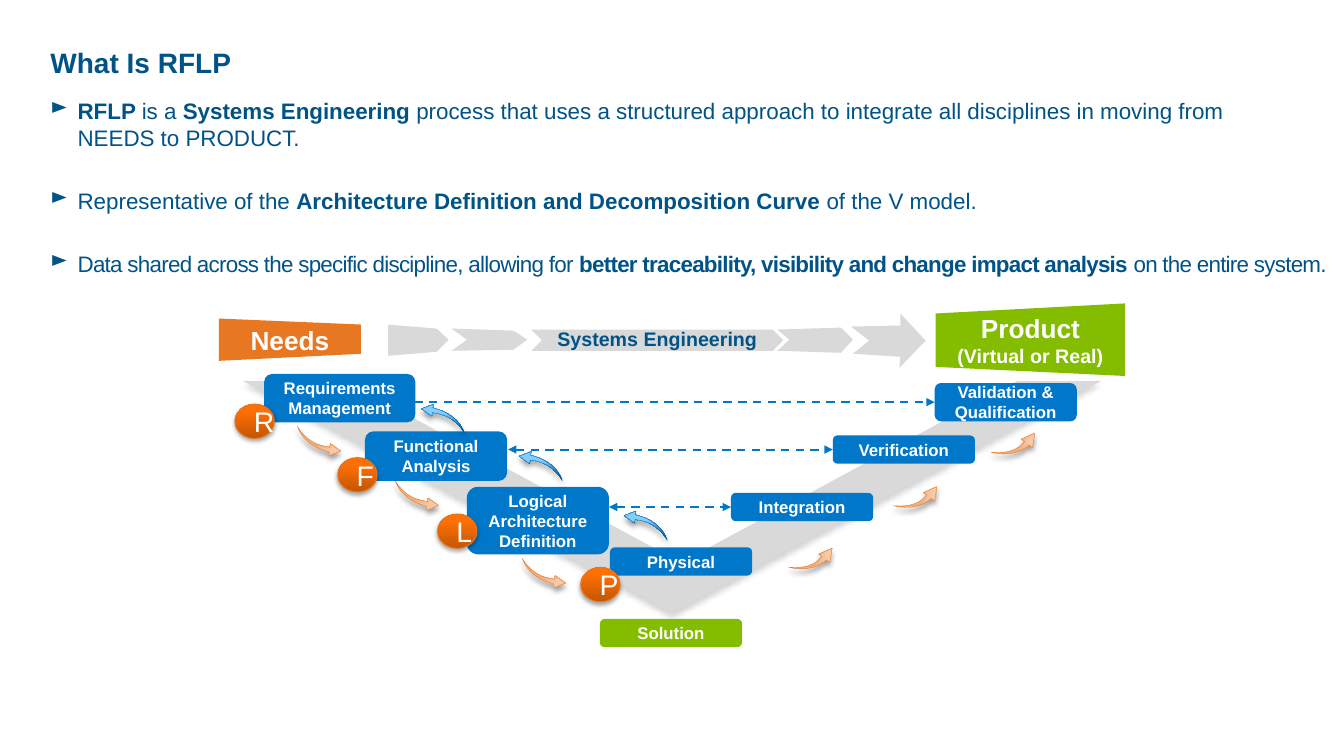
"""Build the RFLP slide with its V model diagram."""
from dataclasses import dataclass

from lxml.etree import SubElement
from pptx import Presentation
from pptx.dml.color import RGBColor
from pptx.enum.dml import MSO_LINE
from pptx.enum.shapes import MSO_CONNECTOR, MSO_SHAPE
from pptx.enum.text import MSO_ANCHOR, PP_ALIGN
from pptx.oxml.ns import qn
from pptx.shapes.autoshape import Shape
from pptx.slide import Slide
from pptx.text.text import TextFrame
from pptx.util import Emu, Pt

EMU_PER_PX = 9144
FONT = "Arial"
NAVY, BLUE, GREEN, ORANGE = "005386", "0077C8", "84BD00", "E87722"
GREY, WHITE, DEEP_BLUE = "D9D9D9", "FFFFFF", "005996"
STEP_WIDTH = 141
MARGINS = (13, 7, 13, 7)


@dataclass(frozen=True)
class Box:
    left: int
    top: int
    width: int
    height: int


@dataclass(frozen=True)
class Line:
    text: str
    size: float
    bold: bool = True
    color: str = WHITE


@dataclass(frozen=True)
class Step:
    label: str
    box: Box
    color: str = BLUE


@dataclass(frozen=True)
class Gradient:
    stops: tuple[tuple[float, str], tuple[float, str]]
    angle: int
    line_color: str
    line_width: float


@dataclass(frozen=True)
class Shadow:
    opacity: int
    blur: float
    distance: float


@dataclass(frozen=True)
class Swoosh:
    box: Box
    rotation: int
    gradient: Gradient


@dataclass(frozen=True)
class Bullet:
    runs: tuple[tuple[str, bool], ...]
    space_before: int = 26
    tracking: int = 0


@dataclass(frozen=True)
class Link:
    start_x: int
    y: int
    target: str


BADGE_GRADIENT = Gradient(((0, "C35603"), (0.8, "FE6F04")), 90, "E8741C", 0.75)
PEACH = Gradient(((0.53, "F1AD7A"), (0.81, "F6C9A7")), 60, ORANGE, 0.25)
SKY = Gradient(((0, DEEP_BLUE), (0.57, "83CDFF")), 50, DEEP_BLUE, 0.25)
V_SHADOW, BADGE_SHADOW, SWOOSH_SHADOW = Shadow(17, 4, 3), Shadow(35, 3.1, 1.8), Shadow(40, 4, 3)

BULLETS = (
    Bullet((("RFLP ", True), ("is a ", False), ("Systems Engineering ", True),
            ("process that uses a structured approach to integrate all disciplines in moving from "
             "\vNEEDS to PRODUCT.", False)), 0),
    Bullet((("Representative of the ", False),
            ("Architecture Definition and Decomposition Curve ", True),
            ("of the V model.", False))),
    Bullet((("Data shared across the specific discipline, allowing for ", False),
            ("better traceability, visibility and change impact analysis ", True),
            ("on the entire system.", False)), tracking=-50),
)
ARROW_PIECES = (
    ((385, 322), (433, 326), (445, 337), (433, 349), (385, 353)),
    ((448, 326), (509, 328), (523, 337), (509, 347), (448, 348), (463, 337)),
    ((771, 327), (834, 325), (846, 337), (834, 350), (771, 348), (783, 337)),
    ((844, 324), (893, 323), (893, 311), (918, 338), (892, 365), (893, 354),
     (846, 351), (862, 338)),
)
NEEDS_OUTLINE = ((217, 316), (358, 322), (358, 351), (217, 358))
PRODUCT_OUTLINE = ((928, 311), (1116, 301), (1116, 373), (928, 364))
STEPS = (
    Step("Validation & Qualification", Box(927, 380, STEP_WIDTH, 38)),
    Step("Verification", Box(826, 432, STEP_WIDTH, 28)),
    Step("Integration", Box(725, 489, STEP_WIDTH, 28)),
    Step("Solution", Box(595, 614, STEP_WIDTH, 28), GREEN),
    Step("Requirements Management", Box(262, 371, 150, 48)),
    Step("Functional Analysis", Box(362, 428, STEP_WIDTH, 49)),
    Step("Logical Architecture Definition", Box(463, 483, STEP_WIDTH, 67)),
    Step("Physical", Box(605, 543, STEP_WIDTH, 28)),
)
BADGES = {"R": (233, 401), "F": (335, 454), "L": (434, 510), "P": (576, 563)}
SWOOSHES = (
    *(Swoosh(Box(x, y, 43, 29), 180, PEACH) for x, y in ((295, 423), (392, 477), (518, 554))),
    *(Swoosh(Box(x, y, 38, 33), 120, PEACH) for x, y in ((787, 538), (891, 477), (988, 424))),
    *(Swoosh(Box(x, y, 43, 29), 0, SKY) for x, y in ((619, 507), (515, 448), (418, 401))),
)
LINKS = (
    Link(604, 503, "Integration"),
    Link(504, 446, "Verification"),
    Link(403, 399, "Validation & Qualification"),
)


def px(length: int) -> Emu:
    return Emu(length * EMU_PER_PX)


def rgb(color: str) -> RGBColor:
    return RGBColor.from_string(color)


def place(box: Box) -> tuple[Emu, Emu, Emu, Emu]:
    return px(box.left), px(box.top), px(box.width), px(box.height)


def set_frame(frame: TextFrame, margins: tuple[int, int, int, int], anchor: MSO_ANCHOR) -> None:
    frame.word_wrap = True
    frame.vertical_anchor = anchor
    frame.margin_left, frame.margin_top, frame.margin_right, frame.margin_bottom = map(px, margins)


def write(frame: TextFrame, lines: tuple[Line, ...], align: PP_ALIGN) -> None:
    for index, line in enumerate(lines):
        paragraph = frame.add_paragraph() if index else frame.paragraphs[0]
        paragraph.text, paragraph.alignment = line.text, align
        font = paragraph.font
        font.name, font.size, font.bold = FONT, Pt(line.size), line.bold
        font.color.rgb = rgb(line.color)


def label(shape: Shape, *lines: Line, margins: tuple[int, int, int, int] = MARGINS) -> None:
    set_frame(shape.text_frame, margins, MSO_ANCHOR.MIDDLE)
    write(shape.text_frame, lines, PP_ALIGN.CENTER)


def paint(shape: Shape, color: str) -> Shape:
    shape.shadow.inherit = False
    shape.fill.solid()
    shape.fill.fore_color.rgb = rgb(color)
    shape.line.fill.background()
    return shape


def add_flat(slide: Slide, kind: MSO_SHAPE, box: Box, color: str) -> Shape:
    return paint(slide.shapes.add_shape(kind, *place(box)), color)


def add_outline(slide: Slide, points: tuple[tuple[int, int], ...], color: str) -> Shape:
    builder = slide.shapes.build_freeform(*points[0], scale=EMU_PER_PX)
    builder.add_line_segments(points[1:], close=True)
    return paint(builder.convert_to_shape(), color)


def cast_shadow(shape: Shape, shadow: Shadow) -> None:
    shape.shadow.inherit = False
    effects = shape.element.spPr.find(qn("a:effectLst"))
    outer = SubElement(effects, qn("a:outerShdw"), blurRad=str(Pt(shadow.blur)),
                       dist=str(Pt(shadow.distance)), dir="5400000", rotWithShape="0")
    black = SubElement(outer, qn("a:srgbClr"), val="000000")
    SubElement(black, qn("a:alpha"), val=str(shadow.opacity * 1000))


def add_shaded(slide: Slide, kind: MSO_SHAPE, box: Box, gradient: Gradient, shadow: Shadow) -> Shape:
    shape = slide.shapes.add_shape(kind, *place(box))
    shape.fill.gradient()
    shape.fill.gradient_angle = gradient.angle
    for stop, (position, color) in zip(shape.fill.gradient_stops, gradient.stops):
        stop.position, stop.color.rgb = position, rgb(color)
    shape.line.color.rgb = rgb(gradient.line_color)
    shape.line.width = Pt(gradient.line_width)
    cast_shadow(shape, shadow)
    return shape


def add_heading(slide: Slide) -> None:
    frame = slide.shapes.add_textbox(*place(Box(50, 40, 1164, 36))).text_frame
    set_frame(frame, (0, 5, 10, 5), MSO_ANCHOR.TOP)
    write(frame, (Line("What Is RFLP", 20, color=NAVY),), PP_ALIGN.LEFT)


def add_bullets(slide: Slide) -> None:
    frame = slide.shapes.add_textbox(*place(Box(50, 96, 1271, 595))).text_frame
    set_frame(frame, (0, 0, 0, 0), MSO_ANCHOR.TOP)
    lines = tuple(Line("", 16, False, NAVY) for _ in BULLETS)
    write(frame, lines, PP_ALIGN.LEFT)
    for paragraph, bullet in zip(frame.paragraphs, BULLETS):
        paragraph.space_before = Pt(bullet.space_before)
        properties = paragraph._p.get_or_add_pPr()
        properties.set("marL", str(px(27)))
        properties.set("indent", str(px(-27)))
        mark = properties.makeelement(qn("a:buChar"), {"char": "►"})
        properties.find(qn("a:defRPr")).addprevious(mark)
        for text, bold in bullet.runs:
            for index, part in enumerate(text.split("\v")):
                if index:
                    paragraph.add_line_break()
                run = paragraph.add_run()
                run.text, run.font.bold = part, bold
                run.font.name, run.font.size = FONT, Pt(16)
                run.font.color.rgb = rgb(NAVY)
                if bullet.tracking:
                    run._r.get_or_add_rPr().set("spc", str(bullet.tracking))


def add_v_shape(slide: Slide) -> None:
    for left, top, color in ((241, 378, GREY), (250, 328, WHITE)):
        triangle = add_flat(slide, MSO_SHAPE.ISOSCELES_TRIANGLE, Box(left, top, 851, 230), color)
        triangle.rotation = 180
        if color == GREY:
            cast_shadow(triangle, V_SHADOW)


def add_banner(slide: Slide) -> None:
    label(add_outline(slide, NEEDS_OUTLINE, ORANGE), Line("Needs", 18.7))
    label(add_outline(slide, PRODUCT_OUTLINE, GREEN),
          Line("Product", 18.7), Line("(Virtual or Real)", 14))
    for points in ARROW_PIECES:
        add_outline(slide, points, GREY)
    chevron = add_flat(slide, MSO_SHAPE.CHEVRON, Box(527, 327, 250, 21), GREY)
    label(chevron, Line("Systems Engineering", 14, color=NAVY), margins=(13, 0, 13, 3))


def add_swoosh(slide: Slide, swoosh: Swoosh) -> None:
    shape = add_shaded(slide, MSO_SHAPE.SWOOSH_ARROW, swoosh.box, swoosh.gradient, SWOOSH_SHADOW)
    shape.adjustments[0], shape.adjustments[1] = 0.165, 0.392
    shape.rotation = swoosh.rotation
    shape.element.spPr.find(qn("a:xfrm")).set("flipH", "1")


def add_link(slide: Slide, link: Link, target: Shape) -> None:
    connector = slide.shapes.add_connector(
        MSO_CONNECTOR.STRAIGHT, px(link.start_x), px(link.y), target.left, px(link.y))
    connector.end_connect(target, 1)
    connector.line.color.rgb = rgb(BLUE)
    connector.line.width = Pt(1.5)
    connector.line.dash_style = MSO_LINE.DASH
    properties = connector.element.spPr
    for end in ("a:headEnd", "a:tailEnd"):
        SubElement(properties.find(qn("a:ln")), qn(end), type="triangle")
    SubElement(properties, qn("a:effectLst"))


def main() -> None:
    presentation = Presentation()
    presentation.slide_width, presentation.slide_height = px(1333), px(750)
    slide = presentation.slides.add_slide(presentation.slide_layouts[6])
    add_heading(slide)
    add_bullets(slide)
    add_v_shape(slide)
    add_banner(slide)
    boxes: dict[str, Shape] = {}
    for step in STEPS:
        boxes[step.label] = add_flat(slide, MSO_SHAPE.ROUNDED_RECTANGLE, step.box, step.color)
        label(boxes[step.label], Line(step.label, 12))
    for letter, (left, top) in BADGES.items():
        badge = add_shaded(slide, MSO_SHAPE.OVAL, Box(left, top, 39, 34), BADGE_GRADIENT, BADGE_SHADOW)
        label(badge, Line(letter, 20.2, False))
    for swoosh in SWOOSHES:
        add_swoosh(slide, swoosh)
    for link in LINKS:
        add_link(slide, link, boxes[link.target])
    presentation.save("out.pptx")


if __name__ == "__main__":
    main()
